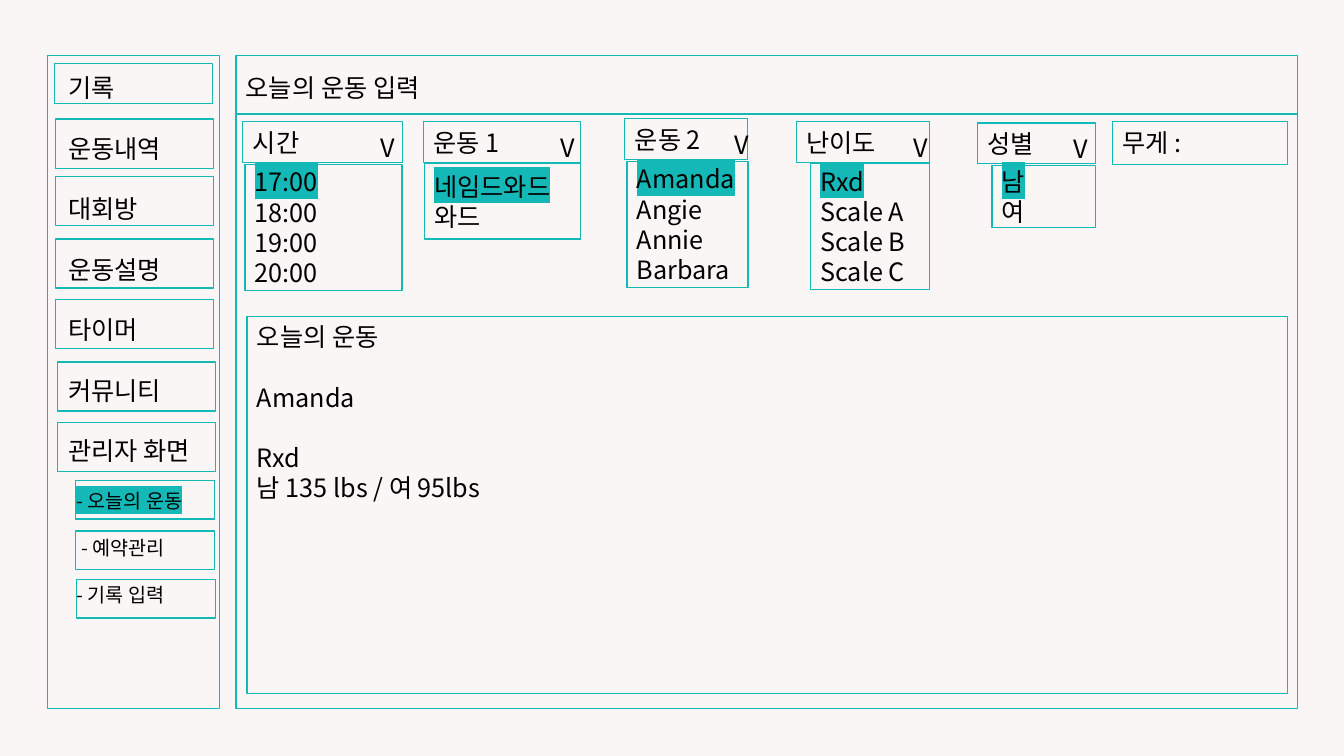
from lxml.etree import SubElement
from pptx import Presentation
from pptx.dml.color import RGBColor
from pptx.enum.shapes import MSO_SHAPE
from pptx.enum.text import MSO_ANCHOR, PP_ALIGN
from pptx.oxml.ns import qn
from pptx.util import Inches, Pt

COLORS = {"paper": "F9F6F5", "teal": "14B9B7", "ink": "000000"}
FONT = "Noto Sans CJK KR"

deck = Presentation()
deck.slide_width, deck.slide_height = Inches(13.33), Inches(7.5)
COL, ROW = deck.slide_width / 100, deck.slide_height / 100
slide = deck.slides.add_slide(deck.slide_layouts[6])
slide.background.fill.solid()
slide.background.fill.fore_color.rgb = RGBColor.from_string(COLORS["paper"])


def frame(shapes, left, top, width, height, line=1, filled=False):
    area = shapes.add_shape(MSO_SHAPE.RECTANGLE, int(left * COL), int(top * ROW),
                            int(width * COL), int(height * ROW))
    area.shadow.inherit = False
    if filled:
        area.fill.solid()
        area.fill.fore_color.rgb = RGBColor.from_string(COLORS["paper"])
    else:
        area.fill.background()
    if line:
        area.line.color.rgb = RGBColor.from_string(COLORS["teal"])
        area.line.width = Pt(line)
    else:
        area.line.fill.background()
    return area


def write(area, lines, anchor=MSO_ANCHOR.TOP):
    body = area.text_frame
    for name, value in {"word_wrap": True, "vertical_anchor": anchor}.items():
        setattr(body, name, value)
    for index, (words, look) in enumerate(lines):
        paragraph = body.paragraphs[0] if index == 0 else body.add_paragraph()
        size = look.get("size", 18)
        spacing = {"alignment": PP_ALIGN.LEFT, "space_before": Pt(look.get("gap", 0))}
        for name, value in spacing.items():
            setattr(paragraph, name, value)
        if "indent" in look:
            paragraph._p.get_or_add_pPr().set("marL", str(int(look["indent"] * COL)))
        run = paragraph.add_run()
        run.text = words
        run.font.size = Pt(size)
        run.font.color.rgb = RGBColor.from_string(COLORS["ink"])
        marks = run._r.get_or_add_rPr()
        if look.get("chosen"):
            highlight = SubElement(marks, qn("a:highlight"))
            SubElement(highlight, qn("a:srgbClr"), val=COLORS["teal"])
        for script in ("a:latin", "a:ea"):
            SubElement(marks, qn(script), typeface=FONT)


PANEL_TOP, PANEL_HEIGHT = 7.33, 86.4
MAIN_LEFT, MAIN_WIDTH = 17.55, 78.98

frame(slide.shapes, 3.53, PANEL_TOP, 12.83, PANEL_HEIGHT, filled=True)
frame(slide.shapes, 4.05, 8.4, 11.78, 5.33, filled=True)
for left, top in [(4.13, 15.73), (4.13, 23.33), (4.13, 31.6), (4.13, 39.6),
                  (4.28, 47.87), (4.28, 55.87)]:
    frame(slide.shapes, left, top, 11.78, 6.53, filled=True)
for left, top in [(5.63, 63.6), (5.63, 70.27), (5.7, 76.67)]:
    frame(slide.shapes, left, top, 10.35, 5.07, filled=True)

menu = ["기록", "운동내역", "대회방", "운동설명", "타이머", "커뮤니티", "관리자 화면"]
menu_lines = [(entry, {"gap": 21.6 if index else 0}) for index, entry in enumerate(menu)]
submenu = {"size": 14, "gap": 16.8, "indent": 0.6}
menu_lines += [
    ("- 오늘의 운동", {**submenu, "chosen": True}),
    ("- 예약관리", {**submenu, "indent": 0.95}),
    ("- 기록 입력", submenu),
]
write(frame(slide.shapes, 4.35, 8.93, 12.75, 72.8, line=0), menu_lines)

frame(slide.shapes, MAIN_LEFT, PANEL_TOP, MAIN_WIDTH, PANEL_HEIGHT)
write(frame(slide.shapes, MAIN_LEFT, 8.93, 25.8, 5.33, line=0), [("오늘의 운동 입력", {})])
title_rule = slide.shapes.add_connector(
    1, int(MAIN_LEFT * COL), int(15.07 * ROW),
    int((MAIN_LEFT + MAIN_WIDTH) * COL), int(15.07 * ROW))
title_rule.line.color.rgb = RGBColor.from_string(COLORS["teal"])
title_rule.line.width = Pt(1.5)
SubElement(title_rule._element.spPr, qn("a:effectLst"))

dropdowns = [
    ("시간", 18.08, 16.13, 11.85, 27.6, 0.15, 21.73, 16.67,
     ["17:00", "18:00", "19:00", "20:00"]),
    ("운동 1", 31.5, 16.13, 11.7, 40.95, 0.08, 21.6, 10, ["네임드와드", "와드"]),
    ("운동 2", 46.5, 15.73, 9.15, 53.93, 0.15, 21.33, 16.67,
     ["Amanda", "Angie", "Annie", "Barbara"]),
    ("난이도", 59.25, 16.13, 9.9, 67.2, 1.05, 21.6, 16.67,
     ["Rxd", "Scale A", "Scale B", "Scale C"]),
    ("성별", 72.75, 16.27, 8.78, 79.13, 1.05, 21.87, 8.27, ["남", "여"]),
]
for label, left, top, width, arrow_left, inset, list_top, list_height, options in dropdowns:
    dropdown = slide.shapes.add_group_shape().shapes
    write(frame(dropdown, left, top, width, 5.4, line=0.75), [(label, {})])
    write(frame(dropdown, arrow_left, top + 0.67, 1.8, 5.33, line=0), [("V", {})])
    choices = [(option, {"chosen": option == options[0]}) for option in options]
    write(frame(dropdown, left + inset, list_top, width - inset, list_height),
          choices, MSO_ANCHOR.MIDDLE)

write(frame(slide.shapes, 82.8, 16.13, 12.98, 5.6, line=0.75), [("무게 :", {})])
write(frame(slide.shapes, 18.38, 41.87, 77.4, 49.87, line=0.75), [
    ("오늘의 운동", {}),
    ("Amanda", {"gap": 21.6}),
    ("Rxd", {"gap": 21.6}),
    ("남 135 lbs / 여 95lbs", {}),
])

deck.save("out.pptx")
